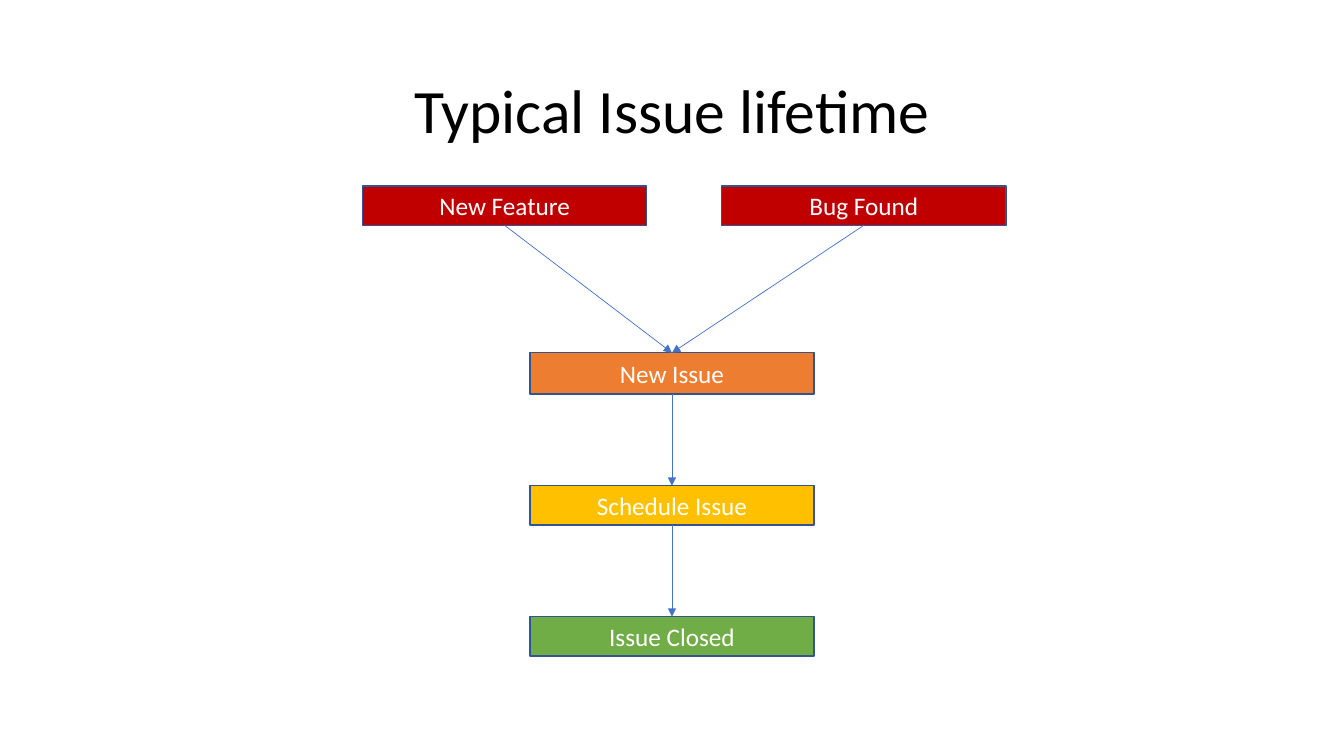
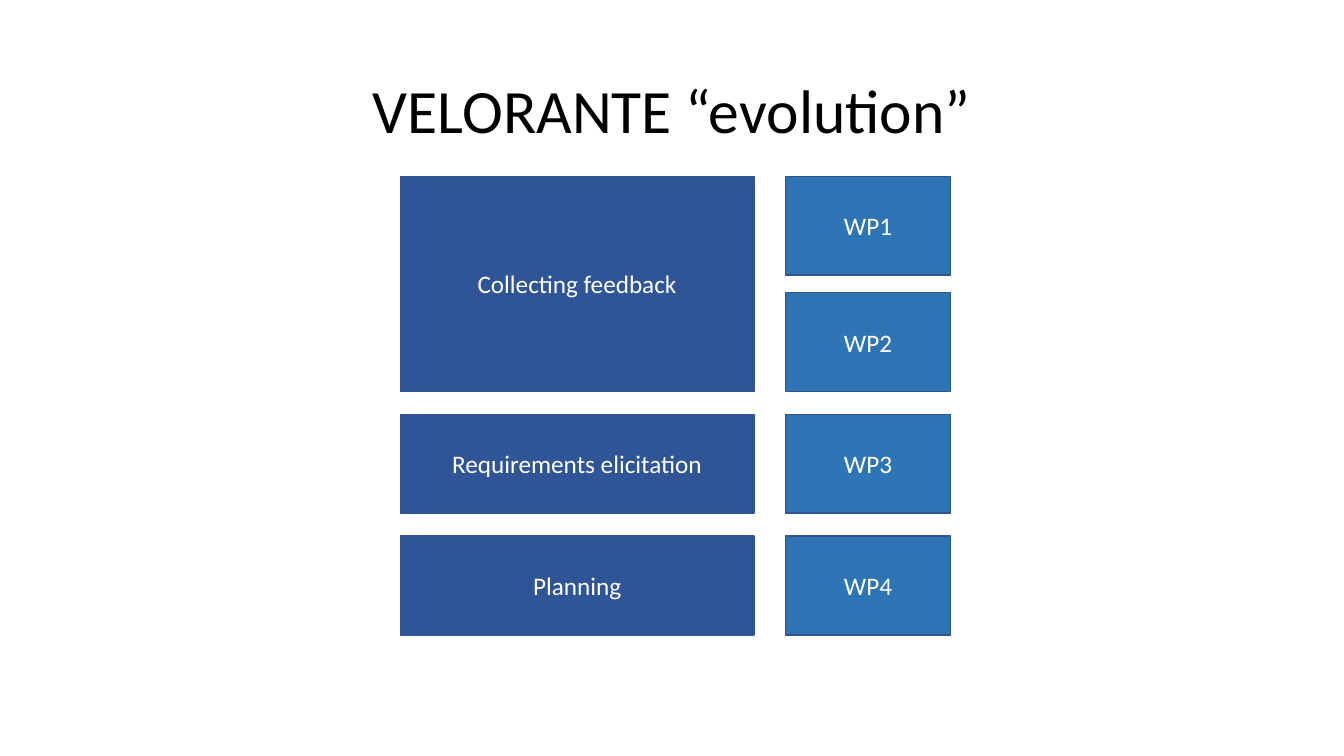
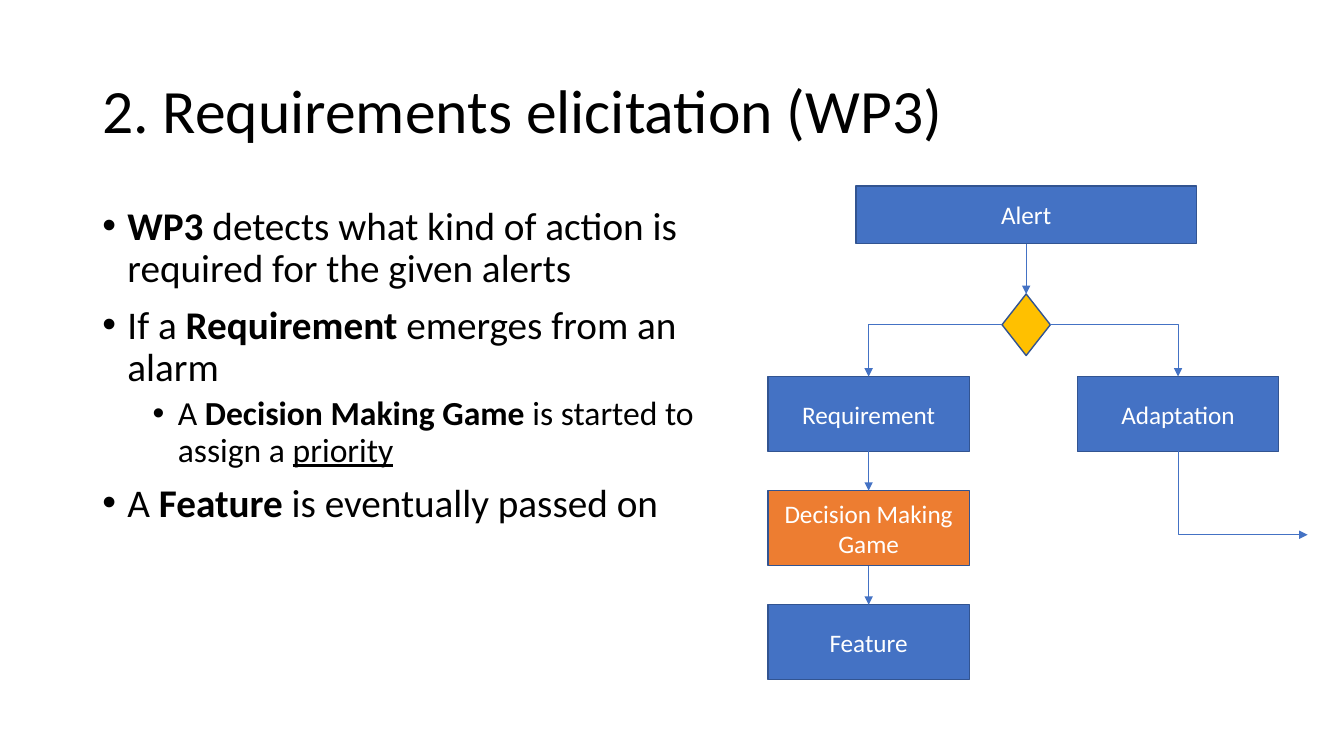
from dataclasses import dataclass

from lxml.etree import SubElement
from pptx import Presentation
from pptx.dml.color import RGBColor
from pptx.enum.shapes import MSO_CONNECTOR, MSO_SHAPE
from pptx.enum.text import MSO_ANCHOR, PP_ALIGN
from pptx.oxml.ns import qn
from pptx.util import Pt


@dataclass(frozen=True)
class Theme:
    """Colours, type sizes and line widths shared by every slide."""
    font: str = "Calibri"
    ink: str = "000000"
    paper: str = "FFFFFF"
    outline: str = "325491"
    blue: str = "4472C4"
    navy: str = "2F5597"
    sky: str = "2E75B6"
    red: str = "C00000"
    orange: str = "ED7D31"
    gold: str = "FFC000"
    green: str = "70AD47"
    title_size: float = 44
    body_sizes: tuple = (28, 24)
    label_size: float = 18
    outline_width: float = 1
    arrow_width: float = 0.5


@dataclass(frozen=True)
class Region:
    """A rectangle on the page, in points."""
    left: float
    top: float
    width: float
    height: float


THEME = Theme()
TITLE = Region(66, 28.8, 828, 104.4)
TOP, LEFT, BOTTOM, RIGHT = range(4)


def add_span(para, text, size, color, bold=False, underline=False):
    """Add one styled run to a paragraph."""
    span = para.add_run()
    span.text = text
    span.font.name = THEME.font
    span.font.size = Pt(size)
    span.font.color.rgb = RGBColor.from_string(color)
    span.font.bold = bold
    span.font.underline = underline


def add_text_box(page, region):
    """Add a wrapping text box and return its text frame."""
    box = page.shapes.add_textbox(Pt(region.left), Pt(region.top), Pt(region.width), Pt(region.height))
    box.text_frame.word_wrap = True
    return box.text_frame


def add_page(deck, title, align=PP_ALIGN.CENTER):
    """Add a blank page with the shared title style."""
    page = deck.slides.add_slide(deck.slide_layouts[6])
    frame = add_text_box(page, TITLE)
    frame.vertical_anchor = MSO_ANCHOR.MIDDLE
    para = frame.paragraphs[0]
    para.alignment = align
    para.line_spacing = 0.9
    add_span(para, title, THEME.title_size, THEME.ink)
    return page


def add_node(page, region, fill, lines=(), kind=MSO_SHAPE.RECTANGLE):
    """Add an outlined shape with a centred white label."""
    node = page.shapes.add_shape(kind, Pt(region.left), Pt(region.top), Pt(region.width), Pt(region.height))
    node.shadow.inherit = False
    node.fill.solid()
    node.fill.fore_color.rgb = RGBColor.from_string(fill)
    node.line.color.rgb = RGBColor.from_string(THEME.outline)
    node.line.width = Pt(THEME.outline_width)
    node.text_frame.vertical_anchor = MSO_ANCHOR.MIDDLE
    para = node.text_frame.paragraphs[0]
    para.alignment = PP_ALIGN.CENTER
    for index, line in enumerate(lines):
        if index:
            para.add_line_break()
        add_span(para, line, THEME.label_size, THEME.paper)
    return node


def add_arrow(page, start, start_side, end, end_side, bent=False, tip="tailEnd"):
    """Join a node or a point to a node's side, with the arrowhead at the chosen tip."""
    kind = MSO_CONNECTOR.ELBOW if bent else MSO_CONNECTOR.STRAIGHT
    origin = start if isinstance(start, tuple) else (0, 0)
    arrow = page.shapes.add_connector(kind, Pt(origin[0]), Pt(origin[1]), Pt(origin[0]), Pt(origin[1]))
    if not isinstance(start, tuple):
        arrow.begin_connect(start, start_side)
    arrow.end_connect(end, end_side)
    arrow.line.color.rgb = RGBColor.from_string(THEME.blue)
    arrow.line.width = Pt(THEME.arrow_width)
    properties = arrow.element.spPr
    if bent:
        properties.find(qn("a:prstGeom")).set("prst", "bentConnector2")
    SubElement(properties.find(qn("a:ln")), qn(f"a:{tip}"), type="triangle")
    SubElement(properties, qn("a:effectLst"))


def add_lifetime(page, region):
    """Draw two sources that feed a vertical chain of issue states."""
    width, height, gap = 203, 28, 65.5
    sources = [
        add_node(page, Region(left, region.top, width, height), THEME.red, [label])
        for left, label in (
            (region.left, "New Feature"),
            (region.left + region.width - width, "Bug Found"),
        )
    ]
    steps = (
        ("New Issue", THEME.orange, 29.5),
        ("Schedule Issue", THEME.gold, height),
        ("Issue Closed", THEME.green, height),
    )
    left = TITLE.left + (TITLE.width - width) / 2
    top = region.top + 119
    previous = sources
    for label, fill, step_height in steps:
        node = add_node(page, Region(left, top, width, step_height), fill, [label])
        for source in previous:
            add_arrow(page, source, BOTTOM, node, TOP)
        previous = [node]
        top += step_height + gap


def add_stages(page, region):
    """Draw stages, each as tall as the work packages beside it."""
    stage_width, package_width, height = 252.5, 118, 70.5
    inner_gap, stage_gap = 12.5, 16.5
    package_left = region.left + region.width - package_width
    top = region.top
    for stage, packages in (
        ("Collecting feedback", ("WP1", "WP2")),
        ("Requirements elicitation", ("WP3",)),
        ("Planning", ("WP4",)),
    ):
        stage_height = len(packages) * (height + inner_gap) - inner_gap
        add_node(page, Region(region.left, top, stage_width, stage_height), THEME.navy, [stage])
        for index, package in enumerate(packages):
            package_top = top + index * (height + inner_gap)
            add_node(page, Region(package_left, package_top, package_width, height), THEME.sky, [package])
        top += stage_height + stage_gap


def add_bullets(page, region, items):
    """Write bulleted paragraphs on two levels from (text, style) pieces."""
    frame = add_text_box(page, region)
    for index, (level, pieces) in enumerate(items):
        para = frame.add_paragraph() if index else frame.paragraphs[0]
        para.level = level
        para.line_spacing = 0.9
        para.space_before = Pt((10, 5)[level])
        properties = para._p.get_or_add_pPr()
        properties.set("marL", str(Pt((18, 54)[level])))
        properties.set("indent", str(Pt(-18)))
        SubElement(properties, qn("a:buFont"), typeface="Arial")
        SubElement(properties, qn("a:buChar"), char="•")
        for text, style in pieces:
            add_span(para, text, THEME.body_sizes[level], THEME.ink, style == "bold", style == "underline")


def add_alert_flow(page, region):
    """Draw an alert that branches into a requirement chain and an adaptation."""
    width, height, pitch = 144, 53.5, 81.5
    row_top = region.top + 136
    middle = region.left + 184.5
    alert = add_node(page, Region(middle - 121.5, region.top, 243, 41), THEME.blue, ["Alert"])
    choice = add_node(
        page, Region(middle - 17.25, region.top + 77, 34.5, 44), THEME.gold, kind=MSO_SHAPE.DIAMOND
    )
    add_arrow(page, alert, BOTTOM, choice, TOP)
    chain = [
        add_node(page, Region(region.left, row_top + row * pitch, width, height), fill, lines)
        for row, (lines, fill) in enumerate((
            (["Requirement"], THEME.blue),
            (["Decision Making", "Game"], THEME.orange),
            (["Feature"], THEME.blue),
        ))
    ]
    adaptation = add_node(
        page, Region(region.left + 221, row_top, width, height), THEME.blue, ["Adaptation"]
    )
    add_arrow(page, choice, LEFT, chain[0], TOP, bent=True)
    add_arrow(page, choice, RIGHT, adaptation, TOP, bent=True)
    for upper, lower in zip(chain, chain[1:]):
        add_arrow(page, upper, BOTTOM, lower, TOP)
    way_out = (region.left + region.width, row_top + 113)
    add_arrow(page, way_out, None, adaptation, BOTTOM, bent=True, tip="headEnd")


def main():
    """Build and save the three slides."""
    deck = Presentation()
    deck.slide_width, deck.slide_height = Pt(960), Pt(540)

    add_lifetime(add_page(deck, "Typical Issue lifetime"), Region(259, 133, 459.5, 335.5))
    add_stages(add_page(deck, "VELORANTE “evolution”"), Region(286, 126, 393, 327.5))

    page = add_page(deck, "2. Requirements elicitation (WP3)", PP_ALIGN.LEFT)
    add_bullets(page, Region(66, 144, 451.5, 342.5), (
        (0, (("WP3", "bold"), (" detects what kind of action is required for the given alerts", ""))),
        (0, (("If a ", ""), ("Requirement", "bold"), (" emerges from an alarm", ""))),
        (1, (
            ("A ", ""),
            ("Decision Making Game ", "bold"),
            ("is started to assign a ", ""),
            ("priority", "underline"),
        )),
        (0, (("A ", ""), ("Feature", "bold"), (" is eventually passed on", ""))),
    ))
    add_alert_flow(page, Region(548.5, 133, 385.5, 352.5))
    deck.save("out.pptx")


if __name__ == "__main__":
    main()
